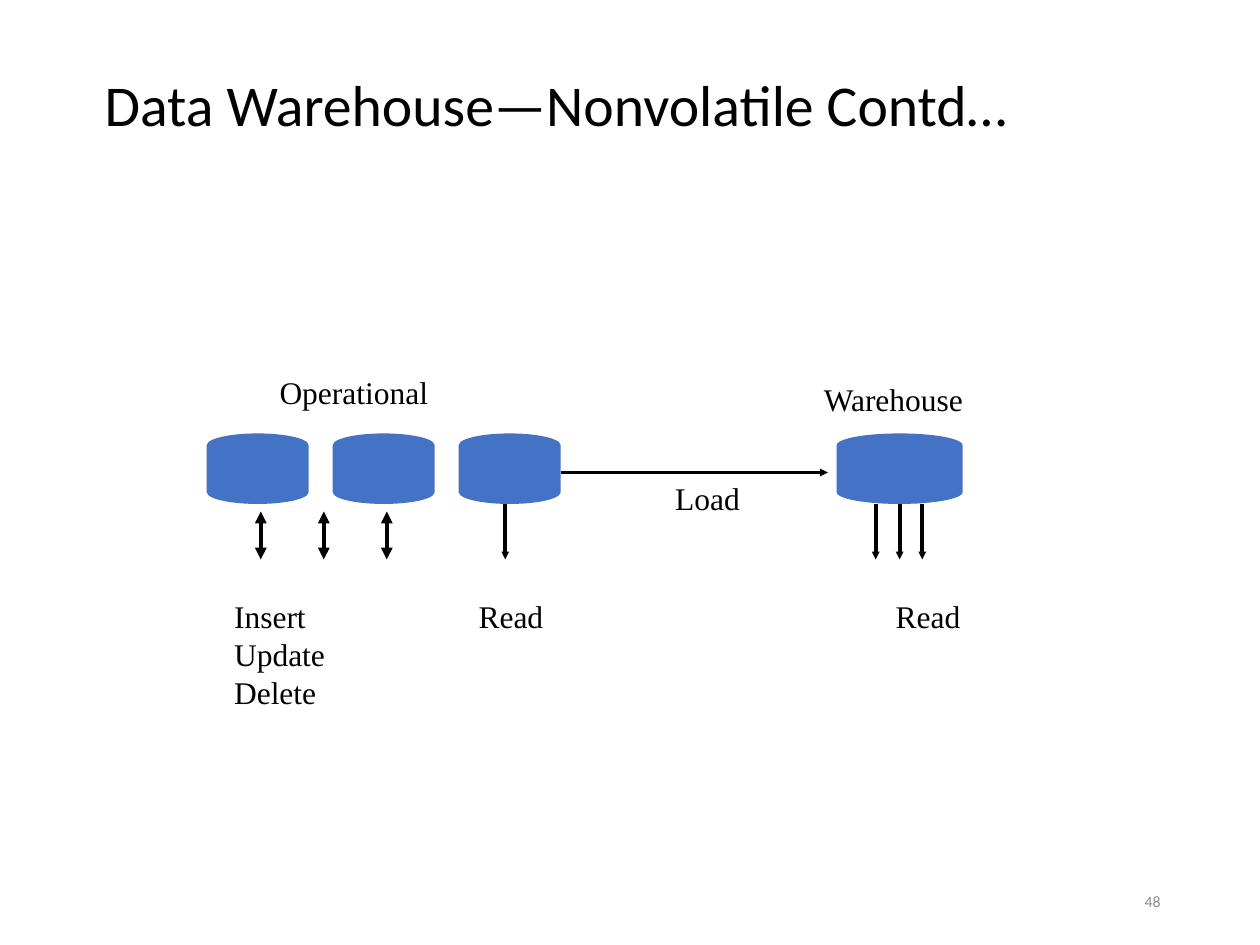
"""Build the slide that contrasts operational databases with a nonvolatile warehouse."""
import pptx
import pptx.util
from dataclasses import dataclass
from lxml import etree
from pptx.dml.color import RGBColor
from pptx.enum.shapes import MSO_CONNECTOR, MSO_SHAPE
from pptx.enum.text import MSO_ANCHOR, PP_ALIGN
from pptx.oxml.ns import qn
from pptx.util import Inches


@dataclass(frozen=True)
class Theme:
    black: RGBColor = RGBColor(0x00, 0x00, 0x00)
    blue: RGBColor = RGBColor(0x44, 0x72, 0xC4)
    gray: RGBColor = RGBColor(0x8C, 0x8C, 0x8C)
    heading_font: str = "Calibri"
    label_font: str = "Times New Roman"
    title_size: float = 33
    label_size: float = 18
    number_size: float = 9
    line_width: float = 2.25


def format_text(text_frame, font_name, size, color):
    for paragraph in text_frame.paragraphs:
        for run in paragraph.runs:
            run.font.name = font_name
            run.font.size = pptx.util.Pt(size)
            run.font.color.rgb = color


def add_arrow(slide, start, end, theme, double=False):
    connector = slide.shapes.add_connector(
        MSO_CONNECTOR.STRAIGHT, *[Inches(value) for value in start + end])
    connector.line.color.rgb = theme.black
    connector.line.width = pptx.util.Pt(theme.line_width)
    line = connector.line._get_or_add_ln()
    size = "med" if double else "sm"
    for tag in ("a:headEnd", "a:tailEnd") if double else ("a:tailEnd",):
        etree.SubElement(line, qn(tag), type="triangle", w=size, len=size)
    etree.SubElement(connector._element.spPr, qn("a:effectLst"))


theme = Theme()
presentation = pptx.Presentation()
presentation.slide_width = Inches(10)
presentation.slide_height = Inches(7.5)
slide = presentation.slides.add_slide(presentation.slide_layouts[5])

title = slide.shapes.title
title.left, title.top = Inches(0.75), Inches(0.57)
title.width, title.height = Inches(7.71), Inches(1.15)
title_frame = title.text_frame
title_frame.text = "Data Warehouse—Nonvolatile Contd…"
title_frame.word_wrap = True
title_frame.vertical_anchor = MSO_ANCHOR.TOP
title_frame.margin_left = title_frame.margin_right = Inches(0.08)
title_frame.margin_top = title_frame.margin_bottom = Inches(0.04)
title_frame.paragraphs[0].alignment = PP_ALIGN.LEFT
title_frame.paragraphs[0].line_spacing = 0.9
format_text(title_frame, theme.heading_font, theme.title_size, theme.black)

for left, width in [(1.64, 0.81), (2.64, 0.81), (3.64, 0.81), (6.64, 1)]:
    database = slide.shapes.add_shape(
        MSO_SHAPE.FLOWCHART_MAGNETIC_DISK,
        Inches(left), Inches(3.44), Inches(width), Inches(0.56))
    database.shadow.inherit = False
    database.fill.solid()
    database.fill.fore_color.rgb = theme.blue
    database.line.fill.background()

labels = [
    ("Insert\nUpdate\nDelete", 1.76, 4.69, 0.93, 1.01),
    ("Read", 3.7, 4.69, 0.72, 0.4),
    ("Read", 7.01, 4.69, 0.72, 0.4),
    ("Operational", 2.12, 2.91, 1.39, 0.4),
    ("Warehouse", 6.44, 2.97, 1.32, 0.4),
    ("Load", 5.26, 3.75, 0.72, 0.4),
]
for text, *box in labels:
    label = slide.shapes.add_textbox(*[Inches(value) for value in box])
    label.text_frame.text = text
    label.text_frame.word_wrap = False
    format_text(label.text_frame, theme.label_font, theme.label_size, theme.black)

for x in (2.07, 2.57, 3.07):
    add_arrow(slide, (x, 4.06), (x, 4.44), theme, double=True)
for x in (4.01, 6.95, 7.14, 7.32):
    add_arrow(slide, (x, 4), (x, 4.44), theme)
add_arrow(slide, (4.45, 3.75), (6.57, 3.75), theme)

slide_number = slide.shapes.add_textbox(
    Inches(7.06), Inches(6.95), Inches(2.25), Inches(0.4))
slide_number.text_frame.text = "48"
slide_number.text_frame.word_wrap = True
slide_number.text_frame.vertical_anchor = MSO_ANCHOR.MIDDLE
slide_number.text_frame.paragraphs[0].alignment = PP_ALIGN.RIGHT
format_text(slide_number.text_frame, theme.heading_font, theme.number_size, theme.gray)

presentation.save("out.pptx")
